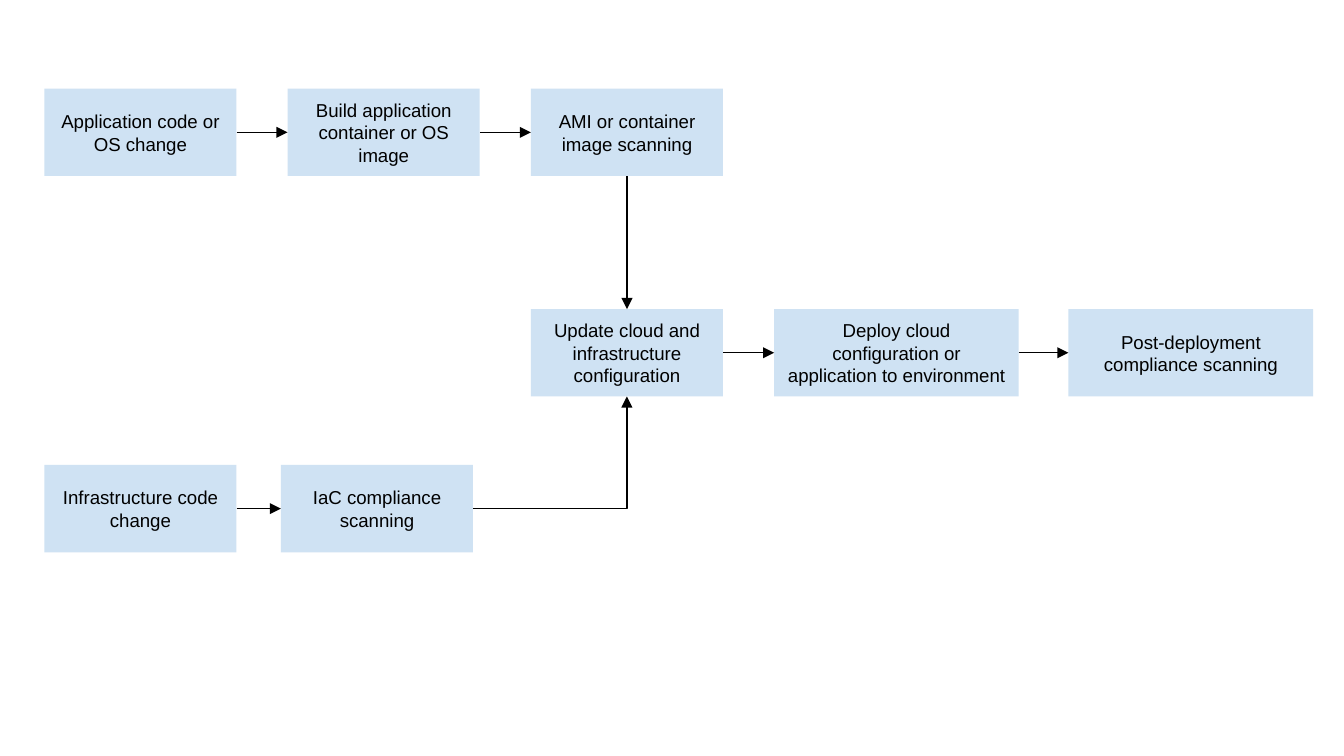
import pptx
import pptx.util
import pptx.dml.color
import pptx.enum.shapes
import pptx.enum.text
import pptx.oxml

INCH = pptx.util.Inches
CONNECTOR = pptx.enum.shapes.MSO_CONNECTOR
TOP, LEFT, BOTTOM, RIGHT = range(4)
PAGE_WIDTH = 10
PAGE_HEIGHT = PAGE_WIDTH * 9 / 16
NARROW, WIDE, HEIGHT = 1.43, 1.82, 0.65
GAP, WIDE_GAP = 0.38, 0.37
MARGIN = 0.33

ROWS = [
    (0.66, MARGIN, GAP, NARROW, [
        ("application", "Application code or OS change"),
        ("build", "Build application container or OS image"),
        ("image scan", "AMI or container image scanning")]),
    (2.3, MARGIN + 2 * (NARROW + GAP), GAP, NARROW, [
        ("update", "Update cloud and infrastructure configuration")]),
    (2.3, MARGIN + 3 * (NARROW + GAP), WIDE_GAP, WIDE, [
        ("deploy", "Deploy cloud configuration or application to environment"),
        ("post scan", "Post-deployment compliance scanning")]),
    (3.46, MARGIN, MARGIN, NARROW, [
        ("infrastructure", "Infrastructure code change"),
        ("code scan", "IaC compliance scanning")]),
]

ARROWS = [
    ("application", RIGHT, "build", LEFT),
    ("build", RIGHT, "image scan", LEFT),
    ("image scan", BOTTOM, "update", TOP),
    ("update", RIGHT, "deploy", LEFT),
    ("deploy", RIGHT, "post scan", LEFT),
    ("infrastructure", RIGHT, "code scan", LEFT),
    ("code scan", RIGHT, "update", BOTTOM),
]


def paint(target, value):
    target.rgb = pptx.dml.color.RGBColor.from_string(value)


def add_step(page, text, left, top, width):
    box = page.shapes.add_shape(
        pptx.enum.shapes.MSO_SHAPE.RECTANGLE,
        INCH(left), INCH(top), INCH(width), INCH(HEIGHT))
    box.shadow.inherit = False
    box.fill.solid()
    paint(box.fill.fore_color, "CFE2F3")
    box.line.fill.background()
    frame = box.text_frame
    frame.word_wrap = True
    frame.vertical_anchor = pptx.enum.text.MSO_ANCHOR.MIDDLE
    frame.margin_left = frame.margin_right = INCH(0.1)
    frame.margin_top = frame.margin_bottom = INCH(0.1)
    frame.text = text
    para = frame.paragraphs[0]
    para.alignment = pptx.enum.text.PP_ALIGN.CENTER
    font = para.runs[0].font
    font.name, font.size = "Arial", pptx.util.Pt(10)
    paint(font.color, "000000")
    return box


def add_arrow(page, start, start_site, finish, finish_site):
    bent = start_site % 2 != finish_site % 2
    kind = CONNECTOR.ELBOW if bent else CONNECTOR.STRAIGHT
    arrow = page.shapes.add_connector(kind, 0, 0, 0, 0)
    arrow.begin_connect(start, start_site)
    arrow.end_connect(finish, finish_site)
    arrow.line.width = pptx.util.Pt(0.75)
    arrow.line.fill.solid()
    paint(arrow.line.fill.fore_color, "000000")
    properties = arrow.element.spPr
    if bent:
        properties.find(pptx.oxml.ns.qn("a:prstGeom")).set("prst", "bentConnector2")
    head = pptx.oxml.xmlchemy.OxmlElement("a:tailEnd")
    head.set("type", "triangle")
    properties.find(pptx.oxml.ns.qn("a:ln")).append(head)
    properties.append(pptx.oxml.xmlchemy.OxmlElement("a:effectLst"))


deck = pptx.Presentation()
deck.slide_width, deck.slide_height = INCH(PAGE_WIDTH), INCH(PAGE_HEIGHT)
page = deck.slides.add_slide(deck.slide_layouts[6])

steps = {}
for top, left, gap, width, row in ROWS:
    for column, (name, text) in enumerate(row):
        steps[name] = add_step(page, text, left + column * (width + gap), top, width)

for start, start_site, finish, finish_site in ARROWS:
    add_arrow(page, steps[start], start_site, steps[finish], finish_site)

deck.save("out.pptx")
